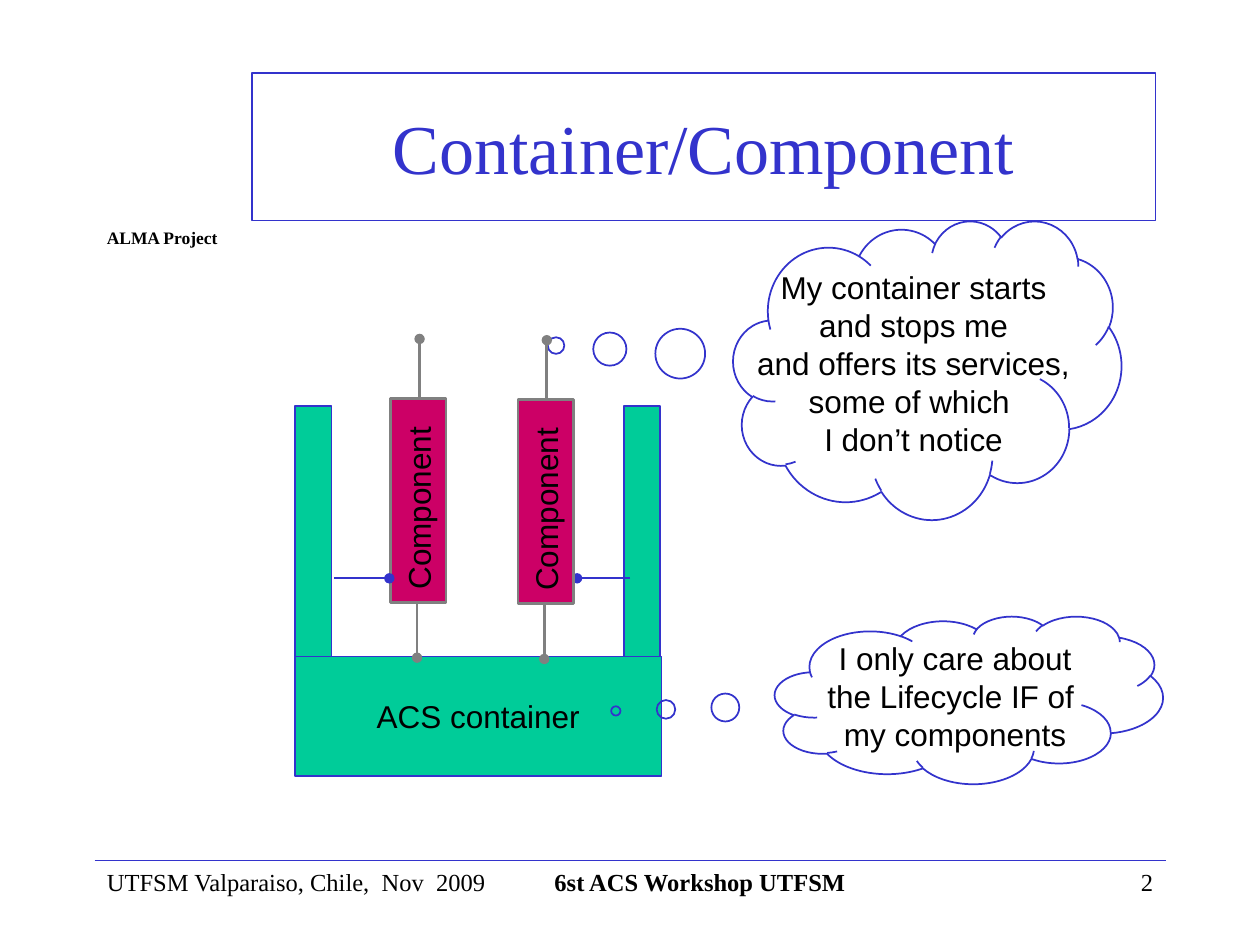
"""Build the Container/Component slide: an ACS container, two components and their thoughts."""
from pptx import Presentation
from pptx.dml.color import RGBColor
from pptx.enum.shapes import MSO_CONNECTOR, MSO_SHAPE
from pptx.enum.text import MSO_ANCHOR, MSO_AUTO_SIZE, PP_ALIGN
from pptx.oxml.ns import qn
from pptx.util import Inches, Pt
from lxml.etree import SubElement

BLUE, GREEN, PINK, GRAY, BLACK = "3333CC", "00CC99", "CC0066", "808080", "000000"
SERIF, SANS = "Times New Roman", "Arial"


def style(shape, lines=(), fill=None, line=None, weight=1, size=18, font=SANS,
          color=BLACK, bold=False, align=PP_ALIGN.CENTER, wrap=False,
          anchor=MSO_ANCHOR.MIDDLE):
    """Set the fill, outline and text of a shape."""
    shape.shadow.inherit = False
    if fill:
        shape.fill.solid()
        shape.fill.fore_color.rgb = RGBColor.from_string(fill)
    else:
        shape.fill.background()
    if line:
        shape.line.color.rgb = RGBColor.from_string(line)
        shape.line.width = Pt(weight)
    else:
        shape.line.fill.background()
    frame = shape.text_frame
    frame.auto_size = MSO_AUTO_SIZE.NONE
    frame.word_wrap = wrap
    frame.vertical_anchor = anchor
    for index, words in enumerate(lines):
        paragraph = frame.add_paragraph() if index else frame.paragraphs[0]
        paragraph.text = words
        paragraph.alignment = align
        paragraph.font.name = font
        paragraph.font.size = Pt(size)
        paragraph.font.bold = bold
        paragraph.font.color.rgb = RGBColor.from_string(color)


def connect(x1, y1, x2, y2, color=BLUE, weight=1, dot=True):
    """Draw a straight line that may end in a dot."""
    connector = shapes.add_connector(MSO_CONNECTOR.STRAIGHT, Inches(x1), Inches(y1),
                                     Inches(x2), Inches(y2))
    connector.line.color.rgb = RGBColor.from_string(color)
    connector.line.width = Pt(weight)
    if dot:
        SubElement(connector.line._get_or_add_ln(), qn("a:tailEnd"), type="oval")
    SubElement(connector._element.spPr, qn("a:effectLst"))


prs = Presentation()
prs.slide_width, prs.slide_height = Inches(10), Inches(7.5)
slide = prs.slides.add_slide(prs.slide_layouts[5])
shapes = slide.shapes

title = shapes.title
title.left, title.top = Inches(2), Inches(0.58)
title.width, title.height = Inches(7.17), Inches(1.17)
style(title, ["Container/Component"], line=BLUE, size=40, font=SERIF, color=BLUE, wrap=True)

connect(0.75, 6.83, 9.25, 6.83, dot=False)
for words, left, top, width, height, size, bold, align in [
    ("ALMA Project", 0.75, 1.75, 1.1, 0.27, 10, True, PP_ALIGN.LEFT),
    ("2", 7.17, 6.83, 2.08, 0.5, 14, False, PP_ALIGN.RIGHT),
    ("UTFSM Valparaiso, Chile,  Nov  2009", 0.75, 6.83, 3.47, 0.5, 14, False, PP_ALIGN.LEFT),
    ("6st ACS Workshop UTFSM ", 3.58, 6.83, 4, 0.5, 14, True, PP_ALIGN.CENTER),
]:
    label = shapes.add_textbox(Inches(left), Inches(top), Inches(width), Inches(height))
    style(label, [words], size=size, font=SERIF, bold=bold, align=align, wrap=True,
          anchor=MSO_ANCHOR.TOP)
    label.shadow.inherit = True

for lines, left, top, width, height in [
    (["ACS container"], 2.34, 5.21, 2.91, 0.95),
    ([], 2.34, 3.22, 0.29, 1.99),
    ([], 4.95, 3.22, 0.29, 1.99),
]:
    wall = shapes.add_shape(MSO_SHAPE.RECTANGLE, Inches(left), Inches(top),
                            Inches(width), Inches(height))
    style(wall, lines, fill=GREEN, line=BLUE)

for lines, left, top, height, tail in [
    ([" My container starts ", "and stops me", "and offers its services,",
      "some of which ", "I don’t notice"], 5.82, 1.75, 2.37, (-0.957, -0.081)),
    ([" I only care about ", "the Lifecycle IF of ", "my components"],
     6.15, 4.89, 1.33, (-0.91, 0.066)),
]:
    thought = shapes.add_shape(MSO_SHAPE.CLOUD_CALLOUT, Inches(left), Inches(top),
                               Inches(3.08), Inches(height))
    thought.adjustments[0], thought.adjustments[1] = tail
    style(thought, lines, line=BLUE)

connect(5, 4.59, 4.58, 4.59)
for left, top in [(3.1, 3.16), (4.11, 3.17)]:
    bottom = top + 1.62
    connect(left + 0.21, bottom, left + 0.21, bottom + 0.44, GRAY, 1.5)
    connect(left + 0.23, top, left + 0.23, top - 0.47, GRAY, 1.5)
    component = shapes.add_shape(MSO_SHAPE.RECTANGLE, Inches(left), Inches(top),
                                 Inches(0.44), Inches(1.62))
    component.rotation = 180
    style(component, ["Component"], fill=PINK, line=GRAY, weight=1.5)
    frame = component.text_frame
    frame.margin_left = frame.margin_right = Inches(0.05)
    frame.margin_top = frame.margin_bottom = Inches(0.1)
    frame._txBody.bodyPr.set("vert", "eaVert")
connect(2.65, 4.59, 3.09, 4.59)

prs.save("out.pptx")
